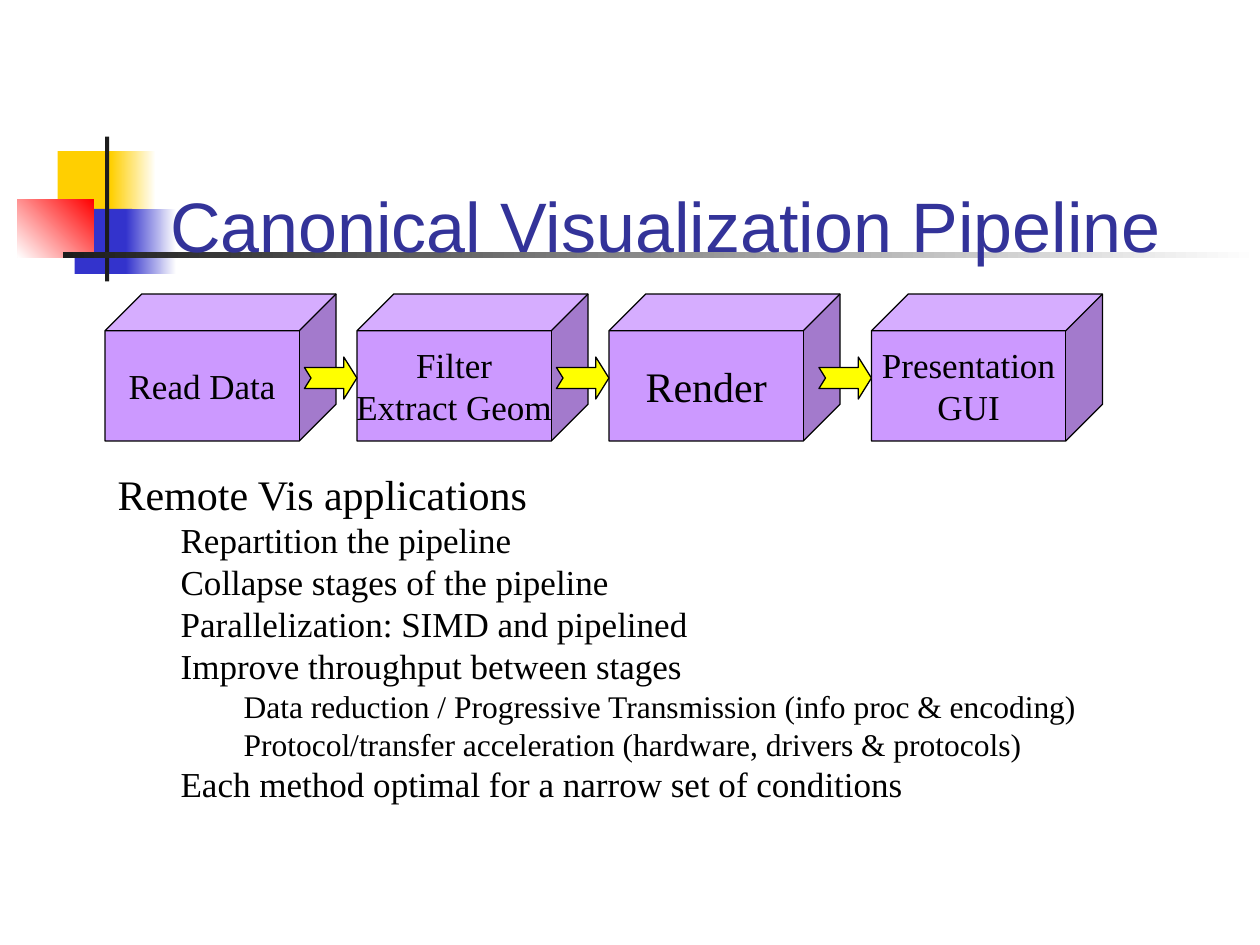
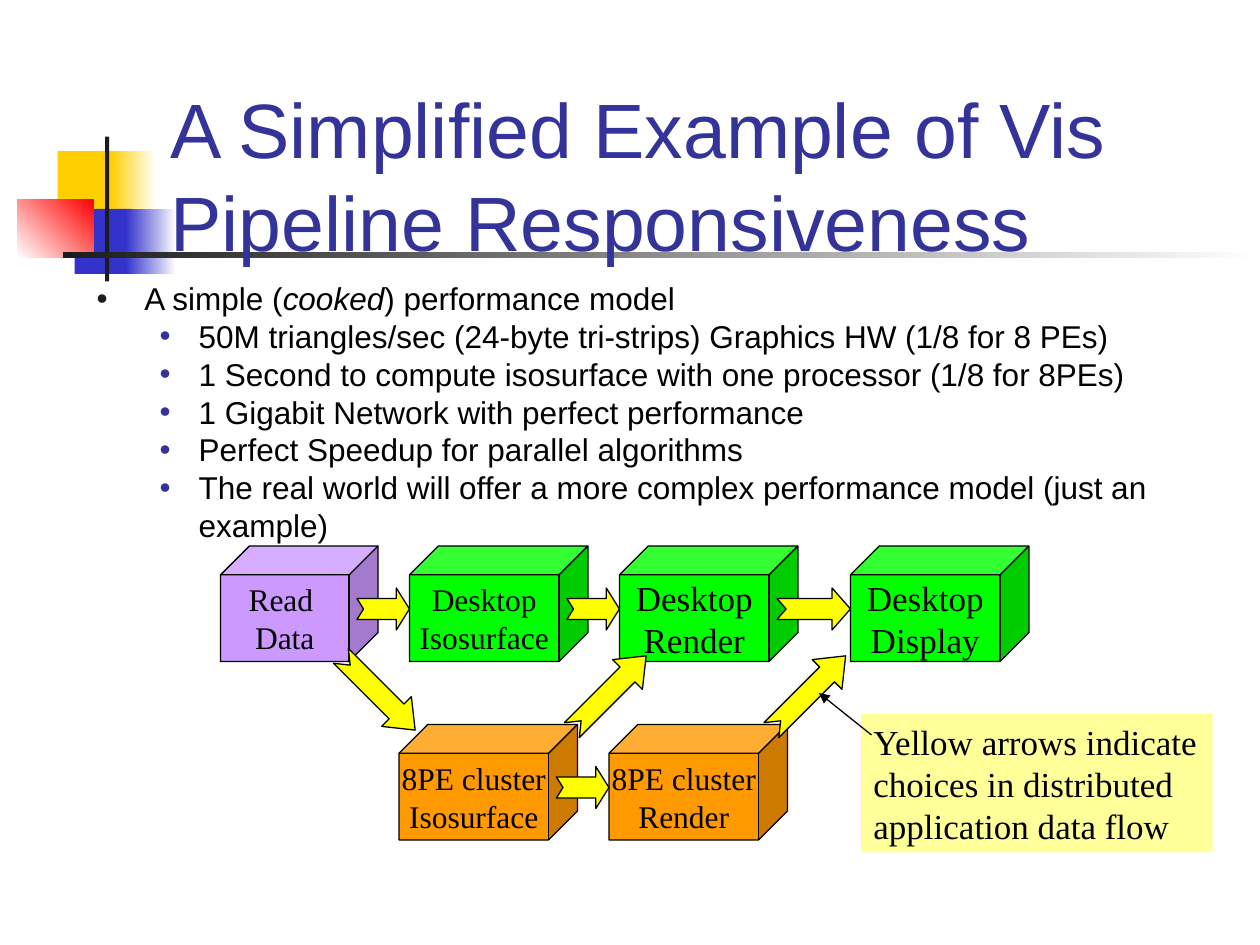
from dataclasses import dataclass
from typing import Optional

from lxml import etree
from pptx import Presentation
from pptx.dml.color import RGBColor
from pptx.enum.shapes import MSO_CONNECTOR, MSO_SHAPE
from pptx.enum.text import MSO_ANCHOR, MSO_AUTO_SIZE, PP_ALIGN
from pptx.oxml.ns import qn
from pptx.util import Inches, Pt

RECTANGLE, CUBE = MSO_SHAPE.RECTANGLE, MSO_SHAPE.CUBE
NOTCHED_ARROW = MSO_SHAPE.NOTCHED_RIGHT_ARROW
STRAIGHT = MSO_CONNECTOR.STRAIGHT
TOP, MIDDLE, BOTTOM = MSO_ANCHOR.TOP, MSO_ANCHOR.MIDDLE, MSO_ANCHOR.BOTTOM
NO_FIT = MSO_AUTO_SIZE.NONE
LEFT, CENTER = PP_ALIGN.LEFT, PP_ALIGN.CENTER

BLACK = RGBColor(0x00, 0x00, 0x00)
WHITE = RGBColor(0xFF, 0xFF, 0xFF)
CHARCOAL = RGBColor(0x1C, 0x1C, 0x1C)
GOLD = RGBColor(0xFF, 0xCF, 0x01)
BLUE = RGBColor(0x33, 0x33, 0xCC)
RED = RGBColor(0xFF, 0x00, 0x00)
NAVY = RGBColor(0x33, 0x33, 0x99)
PURPLE = RGBColor(0xCC, 0x99, 0xFF)
GREEN = RGBColor(0x00, 0xFF, 0x00)
ORANGE = RGBColor(0xFF, 0x99, 0x00)
YELLOW = RGBColor(0xFF, 0xFF, 0x00)
PALE_YELLOW = RGBColor(0xFF, 0xFF, 0x99)

SANS, SERIF = "Arial", "Times New Roman"
COLUMNS, ROWS = 120, 90
CELL = Inches(10) / COLUMNS
LEADING = 1.2
OUTLINE = Pt(0.75)
TITLE_AND_CONTENT = 1


@dataclass(frozen=True)
class Area:
    """A rectangle counted in grid columns and rows."""
    left: float
    top: float
    width: float
    height: float

    def lengths(self) -> tuple:
        """Return left, top, width and height as slide lengths."""
        return tuple(cells(n) for n in (self.left, self.top, self.width, self.height))


@dataclass(frozen=True)
class Ornament:
    """A rectangle of the shared title decoration."""
    area: Area
    color: RGBColor
    fades: bool = False
    angle: int = 0


@dataclass(frozen=True)
class Stage:
    """A pipeline stage, fed by an arrow of the given length."""
    area: Area
    text: str
    color: RGBColor
    size: int
    arrow: int = 0


@dataclass(frozen=True)
class ListStyle:
    """The indents, in inches, and the bullet colour of a list level."""
    margin: float
    hanging: float = 0
    bullet: Optional[RGBColor] = None


@dataclass(frozen=True)
class Item:
    """A list line; asterisks enclose italics."""
    text: str
    level: int
    size: int = 18


ORNAMENTS = [
    Ornament(Area(5.5, 14.4, 5.8, 6.2), GOLD),
    Ornament(Area(10.55, 14.4, 4.3, 6.2), GOLD, fades=True),
    Ornament(Area(7.1, 19.9, 5.5, 6.2), BLUE),
    Ornament(Area(12, 19.9, 4.8, 6.2), BLUE, fades=True),
    Ornament(Area(1.65, 19, 7.3, 5.5), RED, fades=True, angle=225),
    Ornament(Area(10, 13, 0.4, 13.8), CHARCOAL),
    Ornament(Area(6, 24, 114, 0.6), CHARCOAL, fades=True),
]

PIPELINE = [
    Stage(Area(10, 28, 22, 14), "Read Data", PURPLE, 20),
    Stage(Area(34, 28, 22, 14), "Filter\nExtract Geom", PURPLE, 20, arrow=5),
    Stage(Area(58, 28, 22, 14), "Render", PURPLE, 24, arrow=5),
    Stage(Area(83, 28, 22, 14), "Presentation\nGUI", PURPLE, 20, arrow=5),
]
PLAIN_LEVELS = [ListStyle(0), ListStyle(0.5), ListStyle(1)]
REMOTE_ITEMS = [
    Item("Remote Vis applications", 0, 24),
    Item("Repartition the pipeline", 1, 20),
    Item("Collapse stages of the pipeline", 1, 20),
    Item("Parallelization: SIMD and pipelined", 1, 20),
    Item("Improve throughput between stages", 1, 20),
    Item("Data reduction / Progressive Transmission (info proc & encoding)", 2),
    Item("Protocol/transfer acceleration (hardware, drivers & protocols)", 2),
    Item("Each method optimal for a narrow set of conditions", 1, 20),
]

CHOICES = [
    Stage(Area(21, 52, 15, 11), "Read \nData", PURPLE, 18),
    Stage(Area(39, 52, 17, 11), "Desktop\nIsosurface", GREEN, 18, arrow=5),
    Stage(Area(59, 52, 17, 11), "Desktop\nRender", GREEN, 20, arrow=5),
    Stage(Area(81, 52, 17, 11), "Desktop\nDisplay", GREEN, 20, arrow=7),
    Stage(Area(38, 69, 17, 11), "8PE cluster\nIsosurface", ORANGE, 18),
    Stage(Area(58, 69, 17, 11), "8PE cluster\nRender", ORANGE, 18, arrow=5),
]
DIAGONALS = [(31, 45), (53, 315), (72, 315)]
BULLET_LEVELS = [ListStyle(0.38, -0.38, CHARCOAL), ListStyle(0.81, -0.31, NAVY)]
MODEL_ITEMS = [
    Item("A simple (*cooked*) performance model", 0),
    Item("50M triangles/sec (24-byte tri-strips) Graphics HW (1/8 for 8 PEs)", 1),
    Item("1 Second to compute isosurface with one processor (1/8 for 8PEs)", 1),
    Item("1 Gigabit Network with perfect performance", 1),
    Item("Perfect Speedup for parallel algorithms", 1),
    Item("The real world will offer a more complex performance model (just an example)", 1),
]


def cells(count: float) -> int:
    """Turn a count of grid cells into a length."""
    return round(count * CELL)


def write(para, text: str, *, size: int, font: str = SERIF,
          color: RGBColor = BLACK, align=LEFT) -> None:
    """Write one formatted paragraph, with italics between asterisks."""
    para.alignment = align
    para.space_before = para.space_after = Pt(0)
    para.line_spacing = Pt(size * LEADING)
    for index, piece in enumerate(text.split("*")):
        span = para.add_run()
        span.text = piece
        span.font.name, span.font.size = font, Pt(size)
        span.font.color.rgb = color
        span.font.italic = index % 2 == 1


def write_lines(frame, text: str, **style) -> None:
    """Write each line of the text as a paragraph of the frame."""
    for index, line in enumerate(text.split("\n")):
        para = frame.add_paragraph() if index else frame.paragraphs[0]
        write(para, line, **style)


def set_bullet(para, style: ListStyle) -> None:
    """Set the indents and the bullet of a list paragraph."""
    properties = para._p.get_or_add_pPr()
    properties.set("marL", str(Inches(style.margin)))
    properties.set("indent", str(Inches(style.hanging)))
    if style.bullet is None:
        etree.SubElement(properties, qn("a:buNone"))
        return
    color = etree.SubElement(properties, qn("a:buClr"))
    etree.SubElement(color, qn("a:srgbClr"), val=str(style.bullet))
    etree.SubElement(properties, qn("a:buFont"), typeface=SANS)
    etree.SubElement(properties, qn("a:buChar"), char="•")


def place(box, area: Area, anchor) -> None:
    """Move a placeholder and fix how its text sits."""
    box.left, box.top, box.width, box.height = area.lengths()
    box.text_frame.auto_size = NO_FIT
    box.text_frame.vertical_anchor = anchor


def add_page(deck, title: str, title_area: Area, size: int):
    """Add a slide with its title at the foot of the title area."""
    page = deck.slides.add_slide(deck.slide_layouts[TITLE_AND_CONTENT])
    place(page.shapes.title, title_area, BOTTOM)
    write_lines(page.shapes.title.text_frame, title, size=size, font=SANS, color=NAVY)
    return page


def add_list(page, area: Area, items: list[Item], levels: list[ListStyle], font: str) -> None:
    """Fill the body placeholder with a list."""
    body = page.placeholders[1]
    place(body, area, TOP)
    for index, item in enumerate(items):
        para = body.text_frame.add_paragraph() if index else body.text_frame.paragraphs[0]
        para.level = item.level
        write(para, item.text, size=item.size, font=font)
        set_bullet(para, levels[item.level])


def add_figure(page, kind, area: Area, color: RGBColor, outlined: bool = True):
    """Add a filled preset shape without a shadow."""
    shape = page.shapes.add_shape(kind, *area.lengths())
    shape.shadow.inherit = False
    shape.fill.solid()
    shape.fill.fore_color.rgb = color
    if outlined:
        shape.line.color.rgb = BLACK
        shape.line.width = OUTLINE
    else:
        shape.line.fill.background()
    return shape


def add_arrow(page, area: Area, rotation: int = 0) -> None:
    """Add a yellow arrow whose head takes a quarter of its length."""
    arrow = add_figure(page, NOTCHED_ARROW, area, YELLOW)
    arrow.adjustments[0] = 0.5
    arrow.adjustments[1] = area.width / area.height / 4
    arrow.rotation = rotation


def add_stages(page, stages: list[Stage]) -> None:
    """Draw the stages and then the arrows that feed them."""
    for stage in stages:
        frame = add_figure(page, CUBE, stage.area, stage.color).text_frame
        frame.word_wrap = False
        frame.vertical_anchor = MIDDLE
        write_lines(frame, stage.text, size=stage.size, align=CENTER)
    for stage in stages:
        if stage.arrow:
            area = stage.area
            add_arrow(page, Area(area.left - stage.arrow, area.top + area.height // 2 - 1,
                                 stage.arrow, 4))


def add_note(page, area: Area, text: str) -> None:
    """Add a pale note."""
    box = page.shapes.add_textbox(*area.lengths())
    box.fill.solid()
    box.fill.fore_color.rgb = PALE_YELLOW
    box.text_frame.word_wrap = False
    write_lines(box.text_frame, text, size=20)


def add_pointer(page, start: tuple[int, int], end: tuple[int, int]) -> None:
    """Add a thin line with an arrowhead at its end."""
    line = page.shapes.add_connector(STRAIGHT, *map(cells, start + end))
    line.line.color.rgb = BLACK
    line.line.width = OUTLINE
    etree.SubElement(line.line._get_or_add_ln(), qn("a:tailEnd"), type="triangle")
    etree.SubElement(line._element.spPr, qn("a:effectLst"))


def decorate_master(deck, page) -> None:
    """Draw the title decoration and hand it over to the slide master."""
    tree = deck.slide_master.element.cSld.spTree
    for ornament in ORNAMENTS:
        shape = add_figure(page, RECTANGLE, ornament.area, ornament.color, outlined=False)
        if ornament.fades:
            shape.fill.gradient()
            shape.fill.gradient_angle = ornament.angle
            for stop, color in zip(shape.fill.gradient_stops, (ornament.color, WHITE)):
                stop.color.rgb = color
        tree.append(shape._element)


def main() -> None:
    """Build and save the deck."""
    deck = Presentation()
    deck.slide_width, deck.slide_height = cells(COLUMNS), cells(ROWS)

    page = add_page(deck, "Canonical Visualization Pipeline", Area(15, 17, 103, 9), 40)
    decorate_master(deck, page)
    add_stages(page, PIPELINE)
    add_list(page, Area(10, 44, 97, 38), REMOTE_ITEMS, PLAIN_LEVELS, SERIF)

    page = add_page(deck, "A Simplified Example of Vis Pipeline Responsiveness",
                    Area(15, 11, 103, 15), 44)
    add_list(page, Area(8, 26, 106, 54), MODEL_ITEMS, BULLET_LEVELS, SANS)
    add_stages(page, CHOICES)
    for left, rotation in DIAGONALS:
        add_arrow(page, Area(left, 64, 10, 4), rotation)
    add_note(page, Area(82, 68, 33.5, 13.2),
             "Yellow arrows indicate\nchoices in distributed\napplication data flow")
    add_pointer(page, (83, 70), (78, 66))
    deck.save("out.pptx")


if __name__ == "__main__":
    main()
